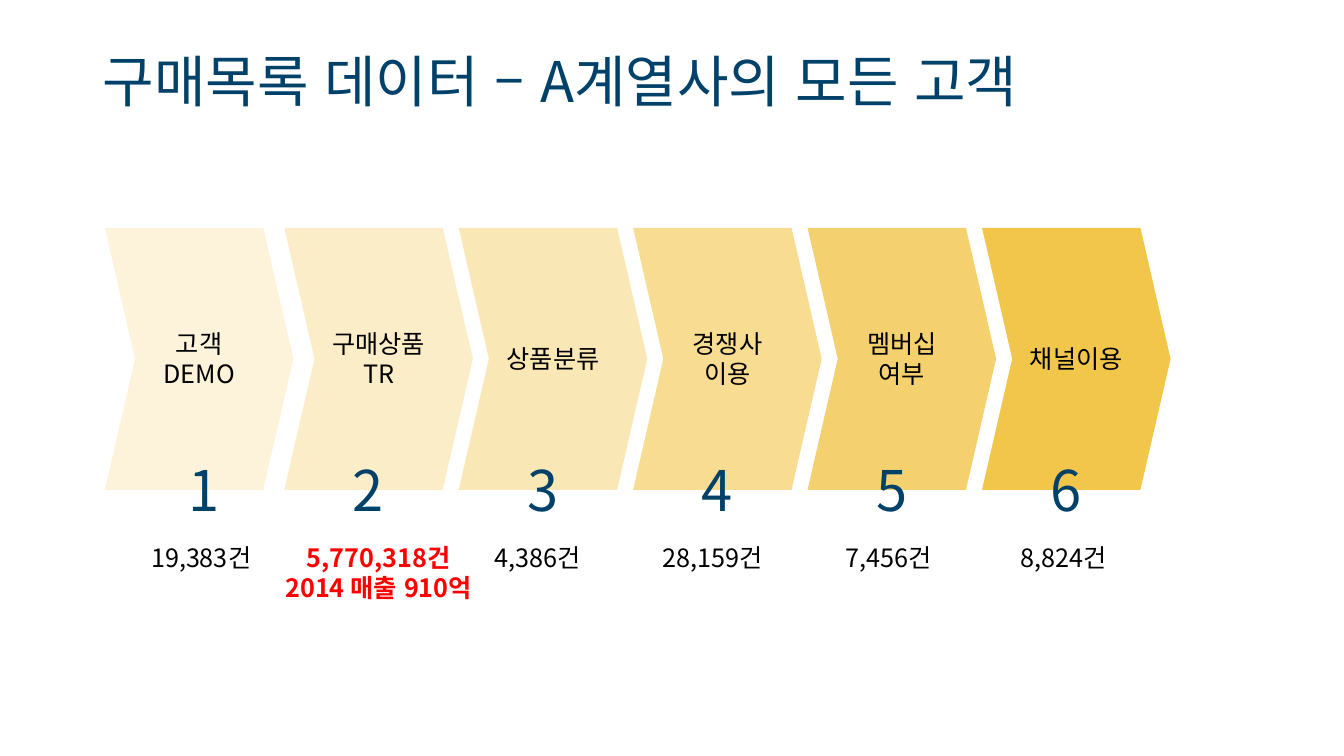
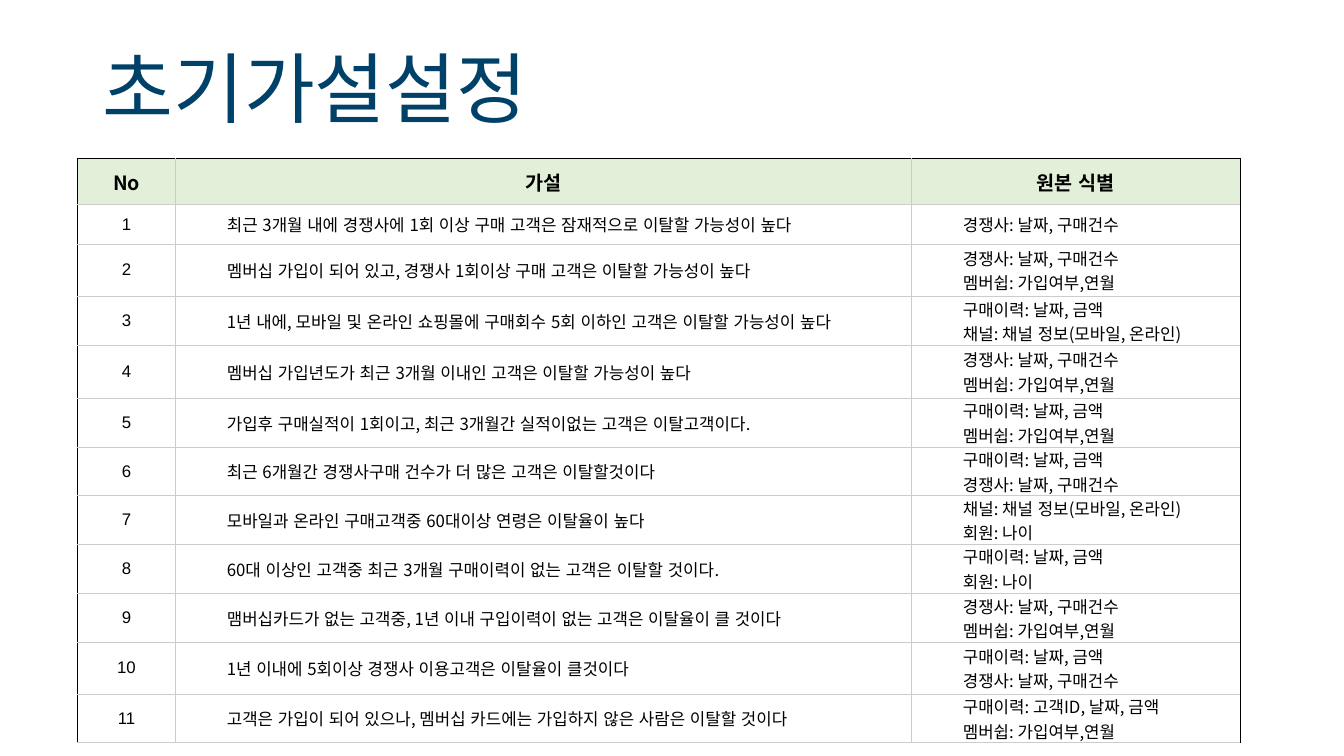
from copy import deepcopy

from lxml import etree
from pptx import Presentation
from pptx.dml.color import RGBColor
from pptx.enum.lang import MSO_LANGUAGE_ID
from pptx.enum.shapes import MSO_SHAPE
from pptx.enum.text import MSO_ANCHOR, MSO_AUTO_SIZE, PP_ALIGN
from pptx.oxml.ns import qn
from pptx.util import Inches, Pt

CHEVRON = MSO_SHAPE.CHEVRON
MIDDLE, TOP = MSO_ANCHOR.MIDDLE, MSO_ANCHOR.TOP
LEFT, CENTER = PP_ALIGN.LEFT, PP_ALIGN.CENTER
GROW, FIXED = MSO_AUTO_SIZE.SHAPE_TO_FIT_TEXT, MSO_AUTO_SIZE.NONE
LANGUAGE = MSO_LANGUAGE_ID.KOREAN

KOREAN, LATIN = "Noto Sans CJK KR", "Arial"
NAVY, BLACK, RED = "004169", "000000", "FF0000"
GOLD, GREEN, GREY = "F2C64A", "E2EFD9", "CCCCCC"

NUMBER = {"size": 40, "color": NAVY}
LABEL = {"size": 18, "color": BLACK}
ALERT = {"size": 18, "color": RED, "bold": True}
HEADER = {"size": 14, "color": BLACK, "bold": True}
BODY = {"size": 12, "color": BLACK}

CHEVRON_TOP, CHEVRON_WIDTH, CHEVRON_HEIGHT = 2.26, 1.87, 2.6
CHEVRON_STEP = 1.73
NUMBER_TOP, COUNT_TOP = 4.47, 5.33

STEPS = [
    ("고객 DEMO", 20, ["19,383건"]),
    ("구매상품TR", 30, ["5,770,318건", "2014 매출 910억"]),
    ("상품분류", 40, ["4,386건"]),
    ("경쟁사 이용", 60, ["28,159건"]),
    ("멤버십 여부", 80, ["7,456건"]),
    ("채널이용", 100, ["8,824건"]),
]

RIVAL = "경쟁사: 날짜, 구매건수"
MEMBER = "멤버쉽: 가입여부,연월"
HISTORY = "구매이력: 날짜, 금액"
CHANNEL = "채널: 채널 정보(모바일, 온라인)"
AGE = "회원: 나이"

COLUMN_NAMES = ["No", "가설", "원본 식별"]
COLUMN_WIDTHS = [0.97, 7.3, 3.26]
ROW_HEIGHTS = [0.46, 0.39, 0.52, 0.49, 0.52, 0.49, 0.48, 0.48, 0.49, 0.48, 0.52, 0.48]
HYPOTHESES = [
    ("최근 3개월 내에 경쟁사에 1회 이상 구매 고객은 잠재적으로 이탈할 가능성이 높다", [RIVAL]),
    ("멤버십 가입이 되어 있고, 경쟁사 1회이상 구매 고객은 이탈할 가능성이 높다", [RIVAL, MEMBER]),
    ("1년 내에, 모바일 및 온라인 쇼핑몰에 구매회수 5회 이하인 고객은 이탈할 가능성이 높다",
     [HISTORY, CHANNEL]),
    ("멤버십 가입년도가 최근 3개월 이내인 고객은 이탈할 가능성이 높다", [RIVAL, MEMBER]),
    ("가입후 구매실적이 1회이고, 최근 3개월간 실적이없는 고객은 이탈고객이다.", [HISTORY, MEMBER]),
    ("최근 6개월간 경쟁사구매 건수가 더 많은 고객은 이탈할것이다", [HISTORY, RIVAL]),
    ("모바일과 온라인 구매고객중 60대이상 연령은 이탈율이 높다", [CHANNEL, AGE]),
    ("60대 이상인 고객중 최근 3개월 구매이력이 없는 고객은 이탈할 것이다.", [HISTORY, AGE]),
    ("맴버십카드가 없는 고객중, 1년 이내 구입이력이 없는 고객은 이탈율이 클 것이다", [RIVAL, MEMBER]),
    ("1년 이내에 5회이상 경쟁사 이용고객은 이탈율이 클것이다", [HISTORY, RIVAL]),
    ("고객은 가입이 되어 있으나, 멤버십 카드에는 가입하지 않은 사람은 이탈할 것이다",
     ["구매이력: 고객ID, 날짜, 금액", MEMBER]),
]


def rgb(value):
    return RGBColor.from_string(value)


def set_attributes(target, values):
    for name, value in values.items():
        setattr(target, name, value)


def write_para(para, text, style, align=LEFT, font=KOREAN):
    para.text = text
    para.alignment = align
    for span in para.runs:
        set_attributes(span.font, {"name": font, "size": Pt(style["size"]),
                                   "bold": style.get("bold", False),
                                   "language_id": LANGUAGE})
        span.font.color.rgb = rgb(style["color"])
        latin = span.font._element.find(qn("a:latin"))
        east_asian = etree.Element(qn("a:ea"), typeface=font)
        latin.addnext(east_asian)
    for line_break in para._p.findall(qn("a:br")):
        line_break.append(deepcopy(para.runs[0].font._element))


def add_text(page, area, lines, style, align=LEFT, anchor=TOP, wrap=True, fit=GROW):
    box = page.shapes.add_textbox(*map(Inches, area))
    frame = box.text_frame
    set_attributes(frame, {"word_wrap": wrap, "auto_size": fit, "vertical_anchor": anchor})
    for index, line in enumerate(lines):
        para = frame.add_paragraph() if index else frame.paragraphs[0]
        write_para(para, line, style, align)
    return box


def add_page(deck, title, top, height, size):
    page = deck.slides.add_slide(deck.slide_layouts[6])
    box = add_text(page, (0.92, top, 11.5, height), [title],
                   {"size": size, "color": NAVY}, anchor=MIDDLE, fit=FIXED)
    box.text_frame.paragraphs[0].line_spacing = 0.9
    return page


def add_chevron(page, left, label, opacity):
    shape = page.shapes.add_shape(CHEVRON, *map(Inches, (
        left, CHEVRON_TOP, CHEVRON_WIDTH, CHEVRON_HEIGHT)))
    shape.adjustments[0] = 0.16
    shape.shadow.inherit = False
    shape.line.fill.background()
    shape.fill.solid()
    shape.fill.fore_color.rgb = rgb(GOLD)
    if opacity < 100:
        color = shape._element.spPr.find(qn("a:solidFill"))[0]
        etree.SubElement(color, qn("a:alpha"), val=str(opacity * 1000))
    set_attributes(shape.text_frame, {"word_wrap": True, "vertical_anchor": MIDDLE})
    write_para(shape.text_frame.paragraphs[0], label, LABEL, CENTER)


def add_steps(page):
    chevron_lefts = [1.04] + [2.82 + CHEVRON_STEP * i for i in range(5)]
    number_lefts = [1.77] + [left + 0.58 for left in chevron_lefts[1:]]
    count_areas = [(1.37, 1.25), (2.63, 2.25)] + [(4.55 + 1.74 * i, 1.56) for i in range(4)]
    for left, (label, opacity, _) in zip(chevron_lefts, STEPS):
        add_chevron(page, left, label, opacity)
    for index, (_, _, counts) in enumerate(STEPS):
        add_text(page, (number_lefts[index], NUMBER_TOP, 0.58 if index else 0.47, 0.77),
                 [str(index + 1)], NUMBER, wrap=False)
        left, width = count_areas[index]
        several = len(counts) > 1
        add_text(page, (left, COUNT_TOP, width, 0.71 if several else 0.4), counts,
                 ALERT if several else LABEL, CENTER)


def add_border(cell, side, color):
    line = etree.SubElement(cell._tc.get_or_add_tcPr(), qn("a:ln" + side), w=str(Pt(0.5)))
    fill = etree.SubElement(line, qn("a:solidFill"))
    etree.SubElement(fill, qn("a:srgbClr"), val=color)


def format_cell(cell, row, column):
    outer = {"L": column == 0, "R": column == len(COLUMN_WIDTHS) - 1, "T": row == 0, "B": False}
    for side, is_outer in outer.items():
        add_border(cell, side, BLACK if is_outer else GREY)
    set_attributes(cell, {"margin_left": Inches(0.01), "margin_right": Inches(0.01),
                          "margin_top": 0, "margin_bottom": 0, "vertical_anchor": MIDDLE})
    if row == 0:
        cell.fill.solid()
        cell.fill.fore_color.rgb = rgb(GREEN)
    else:
        cell.fill.background()


def write_cell(para, text, row, column):
    if row == 0:
        write_para(para, text, HEADER, CENTER)
    elif column == 0:
        write_para(para, text, BODY, CENTER, LATIN)
    else:
        write_para(para, text, BODY)
        para.level = 1
        properties = para._p.get_or_add_pPr()
        properties.set("marL", str(Inches(0.5)))
        properties.set("indent", "0")


def add_hypotheses(page):
    rows = [COLUMN_NAMES] + [
        (str(number), claim, "\v".join(sources))
        for number, (claim, sources) in enumerate(HYPOTHESES, 1)]
    frame = page.shapes.add_table(
        len(rows), len(COLUMN_WIDTHS), Inches(0.77), Inches(1.57),
        Inches(sum(COLUMN_WIDTHS)), Inches(sum(ROW_HEIGHTS)))
    table = frame.table
    set_attributes(table, {"first_row": False, "horz_banding": False})
    for column, width in zip(table.columns, COLUMN_WIDTHS):
        column.width = Inches(width)
    for row, texts in enumerate(rows):
        table.rows[row].height = Inches(ROW_HEIGHTS[row])
        for column, text in enumerate(texts):
            cell = table.cell(row, column)
            format_cell(cell, row, column)
            write_cell(cell.text_frame.paragraphs[0], text, row, column)


def main():
    deck = Presentation()
    set_attributes(deck, {"slide_width": Inches(13.33), "slide_height": Inches(7.5)})
    add_steps(add_page(deck, "구매목록 데이터 – A계열사의 모든 고객", 0.23, 1.22, 40))
    add_hypotheses(add_page(deck, "초기가설설정", 0.19, 1.45, 55))
    deck.save("out.pptx")


if __name__ == "__main__":
    main()
